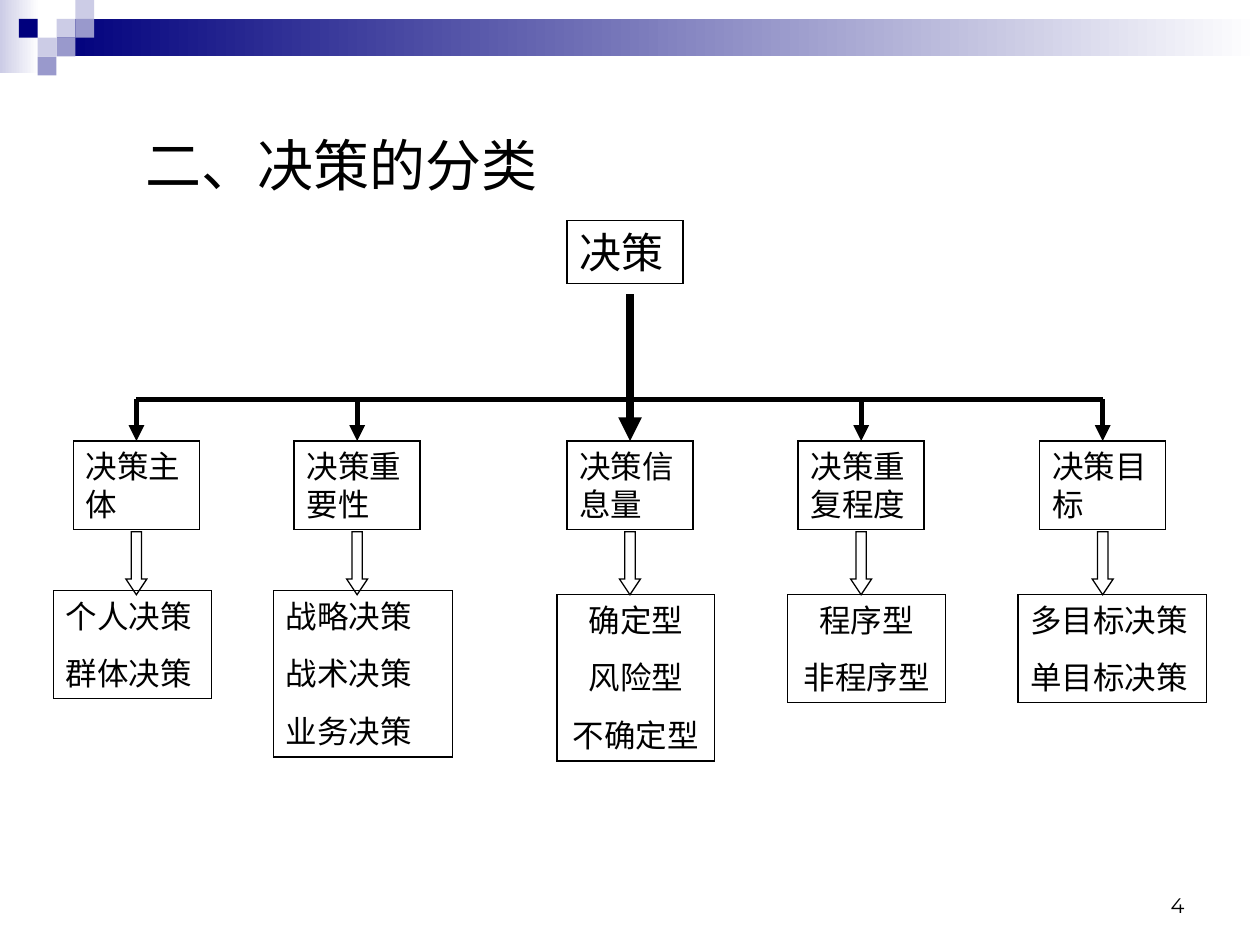
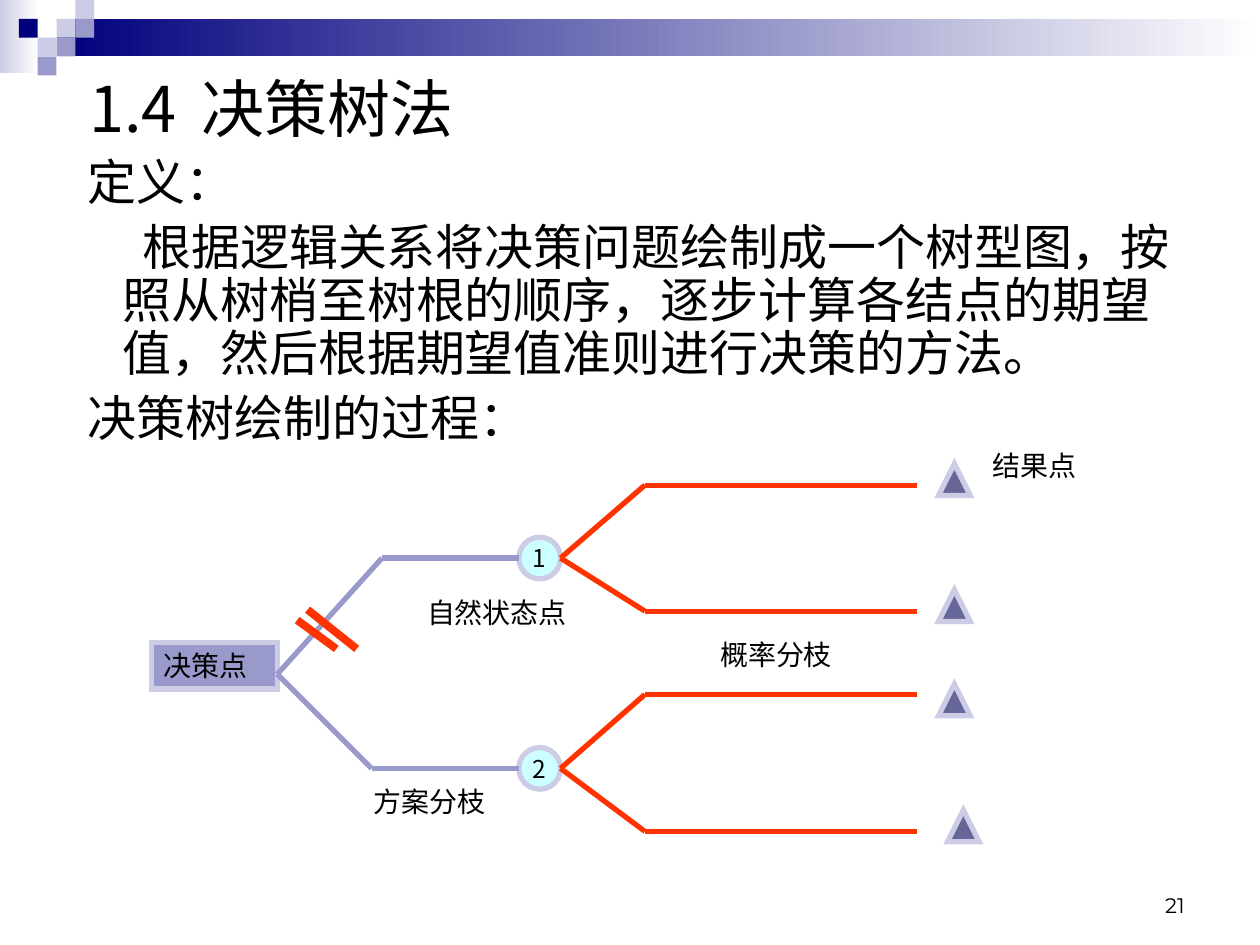
from dataclasses import dataclass

from lxml.etree import SubElement
from pptx import Presentation
from pptx.dml.color import RGBColor
from pptx.enum.shapes import MSO_CONNECTOR, MSO_SHAPE
from pptx.enum.text import MSO_ANCHOR, PP_ALIGN
from pptx.oxml.ns import qn
from pptx.util import Cm, Pt

BLACK, WHITE, NAVY = "000000", "FFFFFF", "00007D"
LILAC, PALE, SLATE = "9999CC", "CCCCE6", "666699"
AQUA, RED = "CCFFFF", "FF3300"
CJK = "Noto Sans CJK SC"
TITLE = {"name": CJK, "size": Pt(32)}
ROOT = {"name": "Karla", "size": Pt(24)}
NODE = {"name": "Karla", "size": Pt(18)}
HEADING = {"name": CJK, "size": Pt(36)}
BODY = {"name": "Arial", "size": Pt(28)}
LABEL = {"name": CJK, "size": Pt(16)}
NUMBER = {"name": CJK, "size": Pt(14)}
FOOTER = {"name": "Montserrat", "size": Pt(12)}
TILE = 0.38  # side of a header square, cm


@dataclass
class Box:
    """A rectangle in centimetres."""
    left: float
    top: float
    width: float
    height: float

    def emu(self) -> list:
        return [Cm(v) for v in (self.left, self.top, self.width, self.height)]


@dataclass
class Category:
    center: float
    name: str
    kinds: list
    left: float
    top: float
    width: float
    align: PP_ALIGN = PP_ALIGN.LEFT


@dataclass
class Branch:
    """A slanted line to a bend, then a level line to the end."""
    start: tuple
    bend: tuple
    end_x: float
    color: str


@dataclass
class Passage:
    text: str
    fmt: dict
    margin: float
    indent: float
    before: float
    tab: float = 0


CATEGORIES = [
    Category(2.75, "决策主体", ["个人决策", "群体决策"], 1.08, 11.91, 3.18),
    Category(7.2, "决策重要性", ["战略决策", "战术决策", "业务决策"], 5.51, 11.91, 3.61),
    Category(12.7, "决策信息量", ["确定型", "风险型", "不确定型"], 11.23, 11.99, 3.18,
             PP_ALIGN.CENTER),
    Category(17.36, "决策重复程度", ["程序型", "非程序型"], 15.88, 11.99, 3.18,
             PP_ALIGN.CENTER),
    Category(22.23, "决策目标", ["多目标决策", "单目标决策"], 20.52, 11.99, 3.81),
]
PASSAGES = [
    Passage("1.4\t决策树法", HEADING, 0, 0.28, 0, 2.88),
    Passage("定义：", BODY, 0, 0.25, 7),
    Passage("根据逻辑关系将决策问题绘制成一个树型图，按照从树梢至树根的顺序，"
            "逐步计算各结点的期望值，然后根据期望值准则进行决策的方法。",
            BODY, 0.95, 0.4, 7),
    Passage("决策树绘制的过程：", BODY, 0, 0.25, 7),
]
STATE_Y = (11.25, 15.49)
BRANCHES = [
    Branch((5.59, 13.59), (7.7, STATE_Y[0]), 10.46, LILAC),
    Branch((5.59, 13.59), (7.49, STATE_Y[1]), 10.46, LILAC),
    *[Branch((11.3, STATE_Y[i // 2]), (13, y), 18.49, RED)
      for i, y in enumerate((9.78, 12.32, 14, 16.76))],
]
RESULTS = [(18.92, 9.35), (18.92, 11.89), (18.92, 13.79), (19.1, 16.33)]
STRIKES = [((5.99, 12.5), (6.78, 13.08)), ((6.2, 12.29), (7.19, 13.08))]
TREE_LABELS = [
    ("方案分枝", Box(7.29, 15.7, 2.97, 0.94)),
    ("自然状态点", Box(8.36, 11.89, 3.45, 0.94)),
    ("概率分枝", Box(14.27, 12.73, 2.85, 0.94)),
    ("结果点", Box(19.76, 8.92, 2.34, 0.94)),
]


def rgb(color: str) -> RGBColor:
    return RGBColor.from_string(color)


def add_run(p, text: str, fmt: dict) -> None:
    r = p.add_run()
    r.text = text
    for key, value in fmt.items():
        setattr(r.font, key, value)
    r.font.color.rgb = rgb(BLACK)
    SubElement(r.font._element, qn("a:ea")).set("typeface", CJK)


def write(sp, lines: list, fmt: dict, align=PP_ALIGN.LEFT,
          anchor=MSO_ANCHOR.TOP, before: float = 0) -> None:
    tf = sp.text_frame
    tf.word_wrap = True
    tf.vertical_anchor = anchor
    for i, line in enumerate(lines):
        p = tf.add_paragraph() if i else tf.paragraphs[0]
        p.alignment = align
        if i:
            p.space_before = Pt(before)
        add_run(p, line, fmt)


def add_text(slide, box: Box, text: str, fmt: dict, **options) -> None:
    write(slide.shapes.add_textbox(*box.emu()), [text], fmt, **options)


def add_shape(slide, kind, box: Box, fill: str = "", line: str = "",
              width: float = 0.75):
    sp = slide.shapes.add_shape(kind, *box.emu())
    sp.shadow.inherit = False
    if fill:
        sp.fill.solid()
        sp.fill.fore_color.rgb = rgb(fill)
    else:
        sp.fill.background()
    if line:
        sp.line.color.rgb = rgb(line)
        sp.line.width = Pt(width)
        SubElement(sp.line._get_or_add_ln(), qn("a:miter")).set("lim", "800000")
    else:
        sp.line.fill.background()
    return sp


def add_line(slide, start: tuple, end: tuple, color: str, width: float = 3,
             arrow: bool = False) -> None:
    cx = slide.shapes.add_connector(MSO_CONNECTOR.STRAIGHT,
                                    *[Cm(v) for v in (*start, *end)])
    cx.line.color.rgb = rgb(color)
    cx.line.width = Pt(width)
    if arrow:
        SubElement(cx.line._get_or_add_ln(), qn("a:tailEnd")).set("type", "triangle")
    SubElement(cx._element.spPr, qn("a:effectLst"))


def add_gradient(slide, box: Box, color: str) -> None:
    sp = add_shape(slide, MSO_SHAPE.RECTANGLE, box)
    sp.fill.gradient()
    sp.fill.gradient_angle = 0
    for stop, shade, position in zip(sp.fill.gradient_stops, (color, WHITE), (0, 1)):
        stop.color.rgb = rgb(shade)
        stop.position = position


def new_slide(prs, number: str):
    """Add a blank slide with the header band and the page number."""
    slide = prs.slides.add_slide(prs.slide_layouts[6])
    add_gradient(slide, Box(0, 0, 0.79, 1.47), PALE)
    add_gradient(slide, Box(3 * TILE, TILE, 25.4 - 3 * TILE, 2 * TILE), NAVY)
    for col, row, color in [(3, 1, PALE), (4, 0, PALE), (4, 1, LILAC), (2, 2, PALE),
                            (1, 1, NAVY), (3, 2, LILAC), (2, 3, LILAC)]:
        add_shape(slide, MSO_SHAPE.RECTANGLE,
                  Box(col * TILE, row * TILE, TILE, TILE), color)
    add_text(slide, Box(18.21, 17.35, 5.92, 1.27), number, FOOTER,
             align=PP_ALIGN.RIGHT, anchor=MSO_ANCHOR.BOTTOM)
    return slide


def draw_category(slide, cat: Category) -> None:
    name_box = add_shape(slide, MSO_SHAPE.RECTANGLE,
                         Box(cat.center - 1.27, 8.89, 2.54, 1.78), line=BLACK)
    write(name_box, [cat.name], NODE)
    height = 1.17 * len(cat.kinds) - 0.16
    kinds_box = add_shape(slide, MSO_SHAPE.RECTANGLE,
                          Box(cat.left, cat.top, cat.width, height), line=BLACK)
    write(kinds_box, cat.kinds, NODE, align=cat.align, before=11.2)
    arrow = add_shape(slide, MSO_SHAPE.DOWN_ARROW,
                      Box(cat.center - 0.21, 10.72, 0.42, 1.27), line=BLACK)
    arrow.adjustments[1] = 0.75


def build_classification(prs) -> None:
    slide = new_slide(prs, "4")
    add_text(slide, Box(2.69, 2.51, 10, 1.63), "二、决策的分类", TITLE)
    root = add_shape(slide, MSO_SHAPE.RECTANGLE, Box(11.43, 4.45, 2.34, 1.27),
                     line=BLACK)
    write(root, ["决策"], ROOT)
    for cat in CATEGORIES:
        draw_category(slide, cat)
    rail, trunk = 8.05, 12.7
    centers = [cat.center for cat in CATEGORIES]
    add_line(slide, (centers[0], rail), (centers[-1], rail), BLACK)
    for x in centers:
        if x != trunk:
            add_line(slide, (x, rail), (x, 8.89), BLACK, arrow=True)
    add_line(slide, (trunk, 5.93), (trunk, 8.89), BLACK, 4.5, arrow=True)


def add_passages(slide, box: Box) -> None:
    tf = slide.shapes.add_textbox(*box.emu()).text_frame
    tf.word_wrap = True
    for i, passage in enumerate(PASSAGES):
        p = tf.add_paragraph() if i else tf.paragraphs[0]
        pPr = p._p.get_or_add_pPr()
        pPr.set("marL", str(Cm(passage.margin)))
        pPr.set("indent", str(Cm(passage.indent)))
        if passage.tab:
            tab = SubElement(SubElement(pPr, qn("a:tabLst")), qn("a:tab"))
            tab.set("pos", str(Cm(passage.tab)))
            tab.set("algn", "l")
        p.line_spacing = 0.9
        if i:
            p.space_before = Pt(passage.before)
        add_run(p, passage.text, passage.fmt)


def build_decision_tree(prs) -> None:
    slide = new_slide(prs, "21")
    add_passages(slide, Box(1.27, 1.45, 22.86, 8.46))
    decision = add_shape(slide, MSO_SHAPE.RECTANGLE, Box(3.05, 12.95, 2.54, 0.94),
                         LILAC, PALE, 3)
    write(decision, ["决策点"], LABEL)
    for text, box in TREE_LABELS:
        add_text(slide, box, text, LABEL)
    for i, y in enumerate(STATE_Y, 1):
        state = add_shape(slide, MSO_SHAPE.OVAL, Box(10.46, y - 0.42, 0.84, 0.84),
                          AQUA, PALE, 3)
        for side in ("left", "top", "right", "bottom"):
            setattr(state.text_frame, f"margin_{side}", 0)
        write(state, [str(i)], NUMBER, align=PP_ALIGN.CENTER, anchor=MSO_ANCHOR.MIDDLE)
    for branch in BRANCHES:
        add_line(slide, branch.start, branch.bend, branch.color)
        add_line(slide, branch.bend, (branch.end_x, branch.bend[1]), branch.color)
    for left, top in RESULTS:
        add_shape(slide, MSO_SHAPE.ISOSCELES_TRIANGLE, Box(left, top, 0.64, 0.64),
                  SLATE, PALE, 3)
    for start, end in STRIKES:
        add_line(slide, start, end, RED, 4.5)


def main() -> None:
    prs = Presentation()
    prs.slide_width, prs.slide_height = Cm(25.4), Cm(19.05)
    build_classification(prs)
    build_decision_tree(prs)
    prs.save("out.pptx")


if __name__ == "__main__":
    main()
